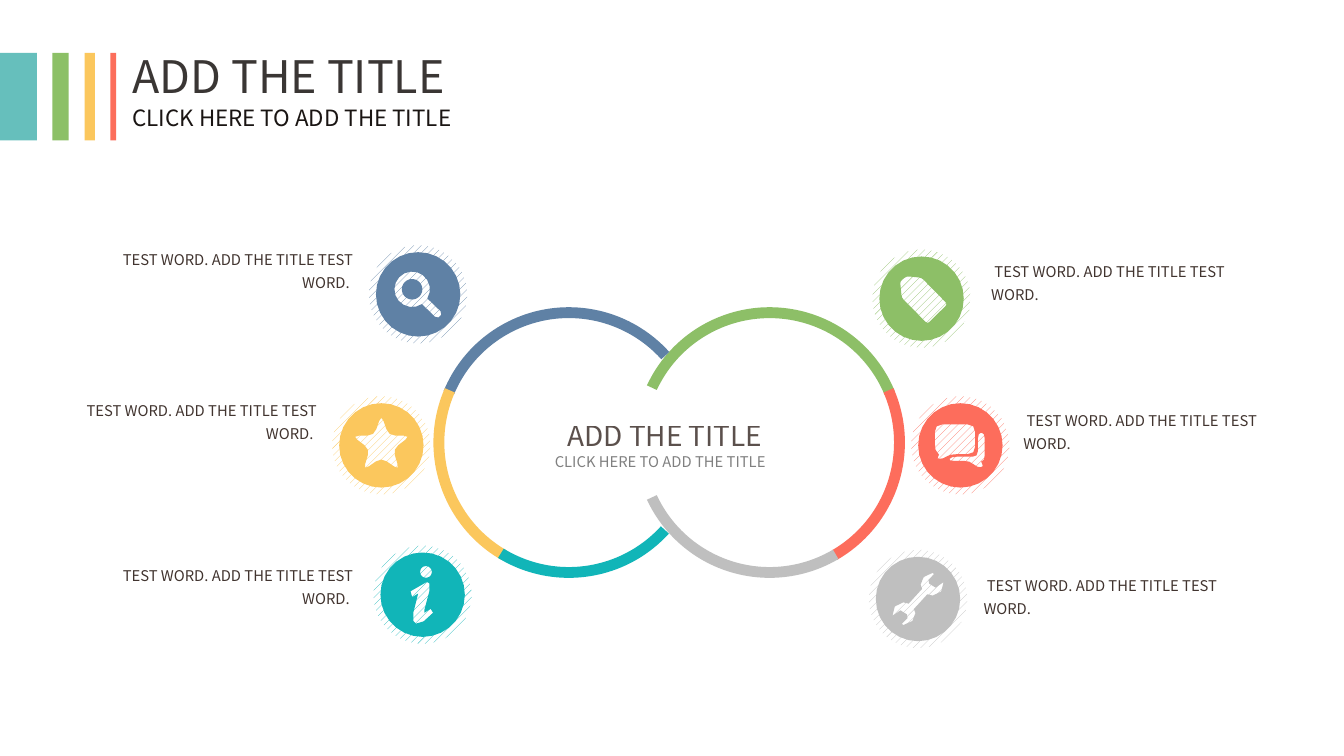
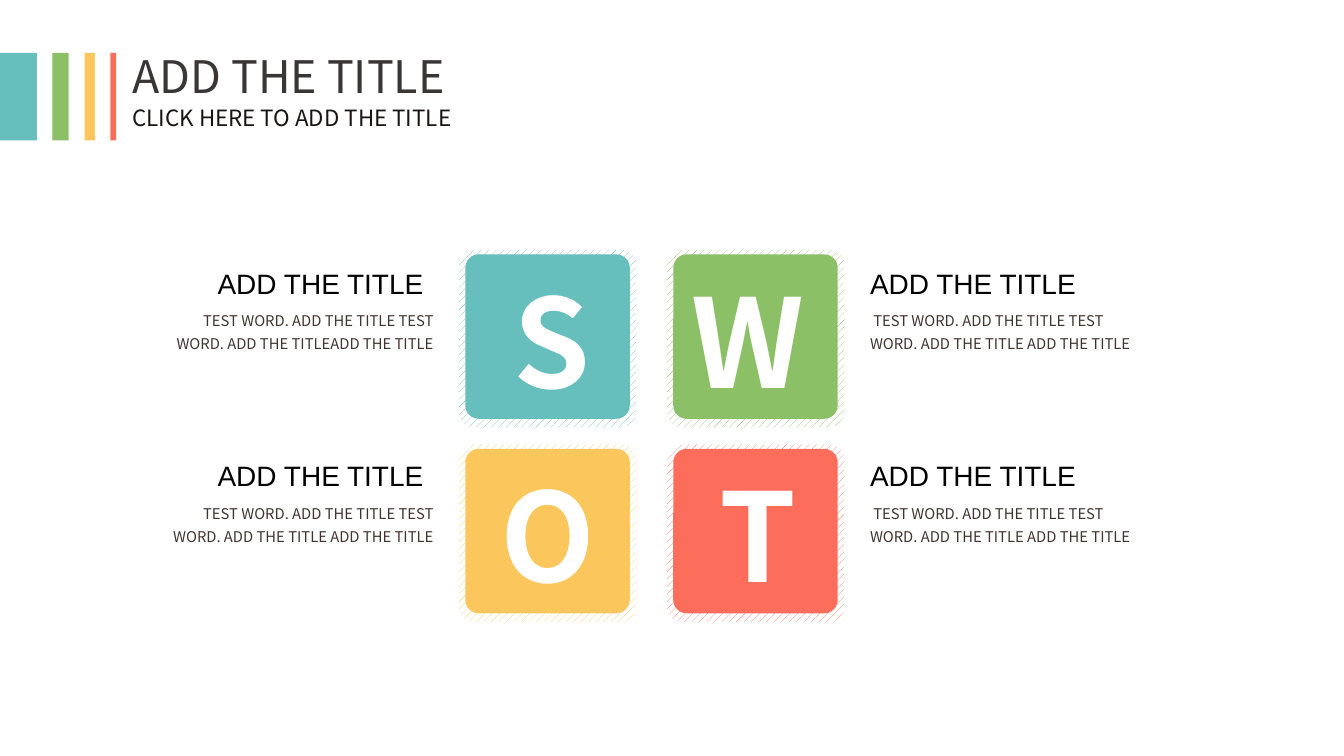
import math
from dataclasses import dataclass
from typing import NamedTuple

import lxml.etree
import pptx
import pptx.dml.color
import pptx.enum.dml
import pptx.enum.shapes
import pptx.enum.text
import pptx.oxml.ns
import pptx.shapes.autoshape
import pptx.shapes.base
import pptx.slide
import pptx.util

Pt = pptx.util.Pt
qn = pptx.oxml.ns.qn
SHAPE = pptx.enum.shapes.MSO_SHAPE
ALIGN = pptx.enum.text.PP_ALIGN
Point = tuple[float, float]
Contour = list[Point]


class TextStyle(NamedTuple):
    size: float
    colour: str
    font: str = "Noto Sans CJK SC"
    bold: bool = False
    opacity: int = 100
    spacing: float = 1.0


@dataclass(frozen=True)
class Theme:
    white: str = "FFFFFF"
    teal: str = "66BFBC"
    green: str = "8CC066"
    yellow: str = "FBC75D"
    red: str = "FC6E5B"
    ring_blue: str = "5F81A5"
    ring_teal: str = "11B5B8"
    ring_green: str = "8DBF67"
    ring_red: str = "FD6D5C"
    ring_grey: str = "BFBFBF"
    title: TextStyle = TextStyle(24, "1A1513", opacity=85)
    subtitle: TextStyle = TextStyle(12, "1A1513")
    body: TextStyle = TextStyle(7.9, "41342F", spacing=1.3)
    hub: TextStyle = TextStyle(15, "41342F", opacity=85)
    hub_note: TextStyle = TextStyle(7.9, "808080")
    heading: TextStyle = TextStyle(15, "000000", font="Arial")
    letter: TextStyle = TextStyle(66, "FFFFFF", bold=True)


THEME = Theme()
TITLE = "ADD THE TITLE"
SUBTITLE = "CLICK HERE TO ADD THE TITLE"


class Box(NamedTuple):
    left: float
    top: float
    width: float
    height: float

    def emu(self) -> list[int]:
        return [Pt(v) for v in self]


class Band(NamedTuple):
    left: float
    width: float
    colour: str


class Arc(NamedTuple):
    left: float
    start: float
    end: float
    colour: str


class Badge(NamedTuple):
    centre: Point
    colour: str
    icon: list[Contour]
    text_at: Point
    align: pptx.enum.text.PP_ALIGN


class Tile(NamedTuple):
    col: int
    row: int
    letter: str
    letter_left: float
    colour: str
    text: str


def arc_points(centre: Point, radius: float, steps: int, start: float = 0, end: float = 360) -> Contour:
    angles = [math.radians(start + (end - start) * i / steps) for i in range(steps + 1)]
    return [(centre[0] + radius * math.cos(a), centre[1] + radius * math.sin(a)) for a in angles]


def rounded(corners: Contour, radius: float) -> Contour:
    """Replace each corner by a short curve, at most half an edge long."""
    out: Contour = []
    for i, (x, y) in enumerate(corners):
        ends = []
        for nx, ny in (corners[i - 1], corners[(i + 1) % len(corners)]):
            share = min(0.5, radius / math.hypot(nx - x, ny - y))
            ends.append((x + (nx - x) * share, y + (ny - y) * share))
        (ax, ay), (bx, by) = ends
        out += [(ax, ay), ((ax + 2 * x + bx) / 4, (ay + 2 * y + by) / 4), (bx, by)]
    return out


def star_corners(outer: float, inner: float) -> Contour:
    spokes = [(outer if i % 2 == 0 else inner, math.radians(36 * i - 90)) for i in range(10)]
    return [(r * math.cos(a), r * math.sin(a)) for r, a in spokes]


# Icon outlines are offsets from the centre of their disc.
LENS = (-3.2, -2.7)
MAGNIFIER = [arc_points(LENS, 9.5, 16, 56, 391)
             + [(12, 9), (12.4, 11), (11, 12.4), (9, 12), (2, 5.2)]]
STAR = [rounded(star_corners(16.4, 6.6), 3.5)]
INFO = [
    arc_points((1.8, -12.2), 3.2, 12),
    [(2.2, -6.8), (3.6, -6.1), (3.6, -1.8), (0.9, 8.3), (0.9, 9.7), (4.3, 7.6), (5.6, 9.7),
     (0.5, 14.3), (-3.6, 15.5), (-5, 14), (-5, 9.7), (-2.4, -0.6), (-5.6, 1.3), (-6.5, -1.8)],
]
TAG = [rounded([(13.9, 2.9), (3.2, 13.5), (-10.6, -0.4), (-11.5, -9.5), (-8, -12), (0, -11.2)], 1.5)]
BUBBLES = [
    rounded([(-13.7, -11.2), (7.9, -11.2), (7.9, 4.7), (-5.8, 4.7), (-9, 7.2), (-13, 7.2),
             (-10.8, 4.9), (-13.7, 3)], 4),
    rounded([(9.4, -6.8), (13, -6.8), (13, 8.3), (10.5, 8.3), (12.8, 11.5), (9, 11.9), (5, 8.3),
             (-6.5, 8.3), (-5, 6.1), (9.4, 6.1)], 3),
]
JAW = [(7.9, -1.8), (5, -2.5), (-2.2, 5.4), (-1.4, 7.6), (-3, 11.8), (-7.9, 14), (-8.6, 13.3),
       (-5.6, 10.2), (-6, 8.2), (-9.4, 6.1), (-13.7, 9), (-12.4, 4)]
WRENCH = [JAW + [(-x, -y) for x, y in JAW]]

BAND_TOP, BAND_HEIGHT = 28.3, 47
BANDS = [
    Band(0, 19.8, THEME.teal),
    Band(28.1, 8.8, THEME.green),
    Band(45.3, 5.6, THEME.yellow),
    Band(59.2, 3.1, THEME.red),
]

RING_TOP, RING_SIZE, RING_THICKNESS = 164.6, 145, 0.04
LEFT_RING, RIGHT_RING = 232.2, 339.8
ARCS = [
    Arc(RIGHT_RING, 205, 337.5, THEME.ring_green),
    Arc(RIGHT_RING, 336.3, 60, THEME.ring_red),
    Arc(RIGHT_RING, 59.4, 155, THEME.ring_grey),
    Arc(LEFT_RING, 202.5, 318, THEME.ring_blue),
    Arc(LEFT_RING, 120, 203.7, THEME.yellow),
    Arc(LEFT_RING, 42.3, 121.5, THEME.ring_teal),
]

DISC_RADIUS, HATCH_RADIUS, LENS_RADIUS = 22.6, 26.3, 5.5
BADGES = [
    Badge((224, 157.7), THEME.ring_blue, MAGNIFIER, (41.4, 128.2), ALIGN.RIGHT),
    Badge((204.3, 238.6), THEME.yellow, STAR, (22, 208.8), ALIGN.RIGHT),
    Badge((226.4, 318.6), THEME.ring_teal, INFO, (41.4, 297.4), ALIGN.RIGHT),
    Badge((493.7, 160), THEME.ring_green, TAG, (523.9, 134.6), ALIGN.LEFT),
    Badge((514.5, 238.6), THEME.ring_red, BUBBLES, (541.1, 214.2), ALIGN.LEFT),
    Badge((491.8, 320.9), THEME.ring_grey, WRENCH, (519.8, 302.4), ALIGN.LEFT),
]
BADGE_TEXT = " TEST WORD. ADD THE TITLE TEST WORD."

TILE_LEFT, TILE_TOP, TILE_DX, TILE_DY = 245.9, 133.9, 111.4, 104.2
HATCH_SIZE, TILE_SIZE, TILE_CORNER = 95, 88.1, 0.082
TEXT_DY = 103.2
TILE_TEXT = " TEST WORD. ADD THE TITLE TEST WORD. ADD THE TITLE ADD THE TITLE"
TILES = [
    Tile(0, 0, "S", 267.8, THEME.teal, " TEST WORD. ADD THE TITLE TEST WORD. ADD THE TITLEADD THE TITLE"),
    Tile(1, 0, "W", 363.6, THEME.green, TILE_TEXT),
    Tile(0, 1, "O", 261, THEME.yellow, TILE_TEXT),
    Tile(1, 1, "T", 378.4, THEME.red, TILE_TEXT),
]


def rgb(colour: str) -> pptx.dml.color.RGBColor:
    return pptx.dml.color.RGBColor.from_string(colour)


def paint(sp: pptx.shapes.autoshape.Shape, colour: str, hatched: bool = False) -> None:
    sp.shadow.inherit = False
    sp.line.fill.background()
    if hatched:
        sp.fill.patterned()
        sp.fill.pattern = pptx.enum.dml.MSO_PATTERN.WIDE_UPWARD_DIAGONAL
        sp.fill.back_color.rgb = rgb(THEME.white)
    else:
        sp.fill.solid()
    sp.fill.fore_color.rgb = rgb(colour)


def add_shape(slide: pptx.slide.Slide, kind: SHAPE, box: Box, colour: str,
              adjust: tuple[float, ...] = (), hatched: bool = False) -> None:
    sp = slide.shapes.add_shape(kind, *box.emu())
    for i, value in enumerate(adjust):
        sp.adjustments[i] = value
    paint(sp, colour, hatched)


def add_circle(slide: pptx.slide.Slide, centre: Point, radius: float, colour: str,
               hatched: bool = False) -> None:
    box = Box(centre[0] - radius, centre[1] - radius, 2 * radius, 2 * radius)
    add_shape(slide, SHAPE.OVAL, box, colour, hatched=hatched)


def write(sp: pptx.shapes.base.BaseShape, text: str, style: TextStyle,
          align: pptx.enum.text.PP_ALIGN = ALIGN.LEFT, wrap: bool = True) -> None:
    tf = sp.text_frame
    tf.word_wrap = wrap
    tf.auto_size = pptx.enum.text.MSO_AUTO_SIZE.SHAPE_TO_FIT_TEXT
    tf.vertical_anchor = pptx.enum.text.MSO_ANCHOR.TOP
    p = tf.paragraphs[0]
    p.alignment, p.line_spacing, p.space_before = align, style.spacing, Pt(0)
    r = p.add_run()
    r.text = text
    r.font.name, r.font.size, r.font.bold = style.font, Pt(style.size), style.bold
    r.font.color.rgb = rgb(style.colour)
    if style.opacity < 100:
        clr = r._r.find(".//" + qn("a:srgbClr"))
        lxml.etree.SubElement(clr, qn("a:alpha"), val=str(style.opacity * 1000))


def add_text(slide: pptx.slide.Slide, box: Box, text: str, style: TextStyle,
             align: pptx.enum.text.PP_ALIGN = ALIGN.LEFT, wrap: bool = True) -> None:
    write(slide.shapes.add_textbox(*box.emu()), text, style, align, wrap)


def place(sp: pptx.shapes.base.BaseShape, box: Box) -> None:
    sp.left, sp.top, sp.width, sp.height = box.emu()


def add_titled_slide(prs: pptx.Presentation) -> pptx.slide.Slide:
    slide = prs.slides.add_slide(prs.slide_layouts.get_by_name("Title and Content"))
    title, subtitle = slide.shapes.title, slide.placeholders[1]
    place(title, Box(63.7, 22.3, 228.2, 36))
    write(title, TITLE, THEME.title)
    place(subtitle, Box(63.7, 52.2, 200.2, 21.6))
    write(subtitle, SUBTITLE, THEME.subtitle, ALIGN.JUSTIFY)
    pPr = subtitle.text_frame.paragraphs[0]._p.get_or_add_pPr()
    pPr.set("marL", "0")
    pPr.set("indent", "0")
    lxml.etree.SubElement(pPr, qn("a:buNone"))
    for band in BANDS:
        add_shape(slide, SHAPE.RECTANGLE, Box(band.left, BAND_TOP, band.width, BAND_HEIGHT), band.colour)
    return slide


def add_cutout_disc(slide: pptx.slide.Slide, badge: Badge) -> None:
    """Draw a disc whose icon is a hole that lets the hatching show."""
    cx, cy = badge.centre
    contours = [[(Pt(cx + x), Pt(cy + y)) for x, y in contour]
                for contour in [arc_points((0, 0), DISC_RADIUS, 28), *badge.icon]]
    builder = slide.shapes.build_freeform(*contours[0][0])
    builder.add_line_segments(contours[0][1:])
    for contour in contours[1:]:
        builder.move_to(*contour[0])
        builder.add_line_segments(contour[1:])
    paint(builder.convert_to_shape(), badge.colour)


def add_badge(slide: pptx.slide.Slide, badge: Badge) -> None:
    add_circle(slide, badge.centre, HATCH_RADIUS, badge.colour, hatched=True)
    add_cutout_disc(slide, badge)
    if badge.icon is MAGNIFIER:
        lens = (badge.centre[0] + LENS[0], badge.centre[1] + LENS[1])
        add_circle(slide, lens, LENS_RADIUS, badge.colour)
    text = BADGE_TEXT + (" " if badge.align == ALIGN.RIGHT else "")
    add_text(slide, Box(*badge.text_at, 154.8, 31.7), text, THEME.body, badge.align)


def add_tile(slide: pptx.slide.Slide, tile: Tile) -> None:
    left, top = TILE_LEFT + tile.col * TILE_DX, TILE_TOP + tile.row * TILE_DY
    corner = (TILE_CORNER,)
    add_shape(slide, SHAPE.ROUNDED_RECTANGLE, Box(left, top, HATCH_SIZE, HATCH_SIZE),
              tile.colour, corner, hatched=True)
    add_shape(slide, SHAPE.ROUNDED_RECTANGLE, Box(left + 3.4, top + 2.4, TILE_SIZE, TILE_SIZE),
              tile.colour, corner)
    add_text(slide, Box(tile.letter_left, 138.5 + tile.row * TILE_DY, 48.2, 87.1),
             tile.letter, THEME.letter, wrap=False)
    heading_left, text_left, align = [(109.5, 75.9, ALIGN.RIGHT), (459, 459, ALIGN.LEFT)][tile.col]
    drop = tile.row * TEXT_DY
    add_text(slide, Box(text_left, 160.7 + drop, 163.4, 31.7), tile.text, THEME.body, align)
    add_text(slide, Box(heading_left, 139.1 + drop, 135.4, 25.2), TITLE, THEME.heading, wrap=False)


def build_rings_slide(prs: pptx.Presentation) -> None:
    slide = add_titled_slide(prs)
    for arc in ARCS:
        # An adjustment of 0.6 stands for one degree.
        add_shape(slide, SHAPE.BLOCK_ARC, Box(arc.left, RING_TOP, RING_SIZE, RING_SIZE), arc.colour,
                  (arc.start * 0.6, arc.end * 0.6, RING_THICKNESS))
    for badge in BADGES:
        add_badge(slide, badge)
    add_text(slide, Box(288.5, 220.7, 135.4, 25.2), TITLE, THEME.hub, ALIGN.CENTER)
    add_text(slide, Box(288.5, 239, 130.3, 16.6), SUBTITLE, THEME.hub_note, ALIGN.CENTER)


def build_swot_slide(prs: pptx.Presentation) -> None:
    slide = add_titled_slide(prs)
    for tile in TILES:
        add_tile(slide, tile)


def main() -> None:
    prs = pptx.Presentation()
    prs.slide_width, prs.slide_height = Pt(720), Pt(405)
    build_rings_slide(prs)
    build_swot_slide(prs)
    prs.save("out.pptx")


if __name__ == "__main__":
    main()
